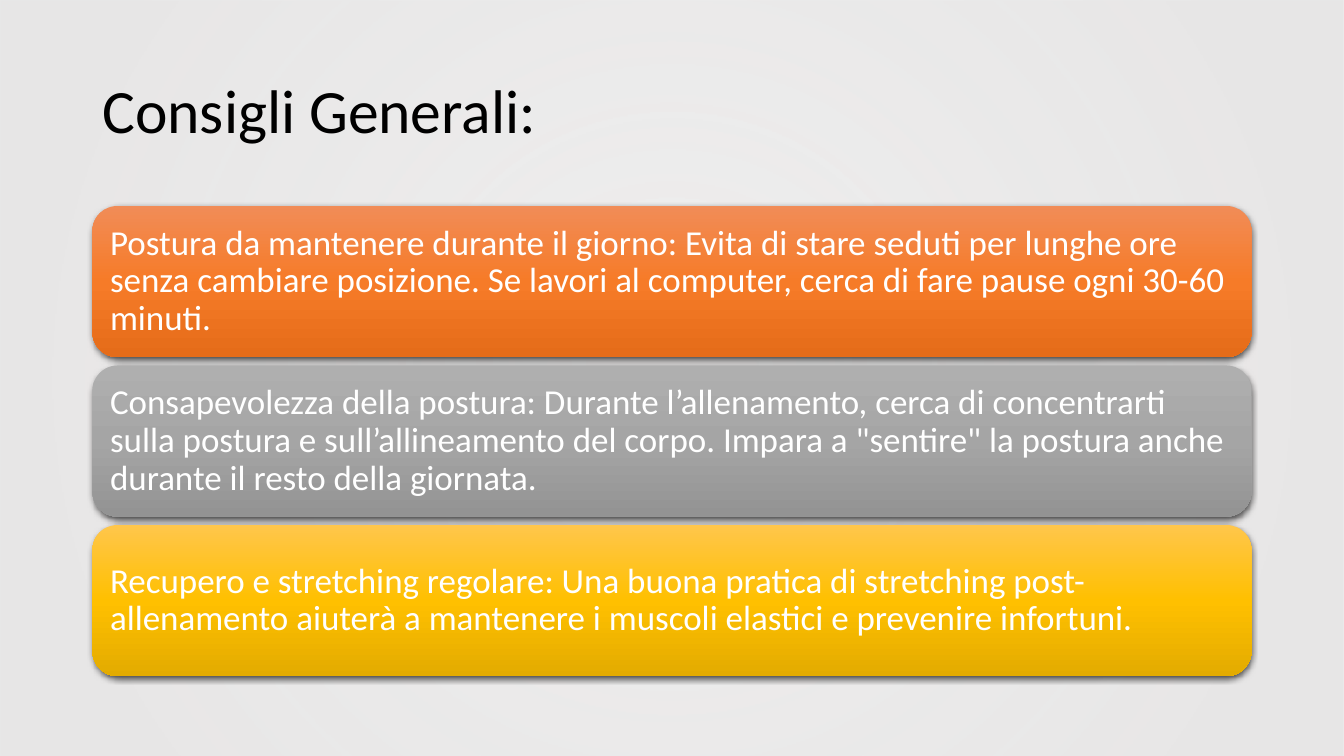
import dataclasses

import lxml.etree
import pptx
import pptx.dml.color
import pptx.enum.shapes
import pptx.enum.text
import pptx.oxml
import pptx.oxml.ns
import pptx.shapes.autoshape
import pptx.slide
import pptx.util

Cm = pptx.util.Cm
NAMESPACE = pptx.oxml.ns.nsdecls("a")


@dataclasses.dataclass(frozen=True)
class Theme:
    font: str = "Calibri"
    title_size: float = 44
    card_size: float = 25
    title_color: str = "000000"
    card_text_color: str = "FFFFFF"
    shadow_color: str = "000000"
    backdrop: str = "E7E6E6"
    orange: tuple[str, ...] = ("F18C57", "F67B28", "E56C19")
    gray: tuple[str, ...] = ("AFAFAF", "A5A5A5", "939393")
    gold: tuple[str, ...] = ("FFC64B", "FFC000", "E3AB00")


@dataclasses.dataclass(frozen=True)
class Stop:
    position: int
    color: str
    opacity: int = 100


@dataclasses.dataclass(frozen=True)
class Card:
    text: str
    colors: tuple[str, ...]


THEME = Theme()
SLIDE_WIDTH, SLIDE_HEIGHT = Cm(33.87), Cm(19.05)
LEFT, WIDTH = Cm(2.33), Cm(29.21)
TITLE_TOP, TITLE_HEIGHT = Cm(1.01), Cm(3.68)
CARD_TOP, CARD_HEIGHT, CARD_PITCH = Cm(5.19), Cm(3.81), Cm(4.02)

LINEAR_DOWN = '<a:lin ang="5400000" scaled="0"/>'
FROM_CENTER = (
    '<a:path path="circle"><a:fillToRect l="50000" t="50000" r="50000" b="50000"/></a:path>'
)

CARDS = (
    Card(
        "Postura da mantenere durante il giorno: Evita di stare seduti per lunghe ore "
        "senza cambiare posizione. Se lavori al computer, cerca di fare pause ogni 30-60 minuti.",
        THEME.orange,
    ),
    Card(
        "Consapevolezza della postura: Durante l’allenamento, cerca di concentrarti sulla "
        "postura e sull’allineamento del corpo. Impara a \"sentire\" la postura anche "
        "durante il resto della giornata.",
        THEME.gray,
    ),
    Card(
        "Recupero e stretching regolare: Una buona pratica di stretching post-allenamento "
        "aiuterà a mantenere i muscoli elastici e prevenire infortuni.",
        THEME.gold,
    ),
)


def fill_gradient(
    shape: pptx.shapes.autoshape.Shape, stops: list[Stop], direction: str
) -> None:
    stop_xml = "".join(
        f'<a:gs pos="{stop.position * 1000}"><a:srgbClr val="{stop.color}">'
        f'<a:alpha val="{stop.opacity * 1000}"/></a:srgbClr></a:gs>'
        for stop in stops
    )
    gradient = pptx.oxml.parse_xml(
        f'<a:gradFill {NAMESPACE} rotWithShape="1"><a:gsLst>{stop_xml}</a:gsLst>'
        f"{direction}</a:gradFill>"
    )
    shape.fill.background()
    properties = shape.element.spPr
    properties.replace(properties.find(pptx.oxml.ns.qn("a:noFill")), gradient)


def add_shadow(shape: pptx.shapes.autoshape.Shape) -> None:
    effects = shape.element.spPr.find(pptx.oxml.ns.qn("a:effectLst"))
    effects.append(
        pptx.oxml.parse_xml(
            f'<a:outerShdw {NAMESPACE} blurRad="{pptx.util.Pt(4.5)}" '
            f'dist="{pptx.util.Pt(1.5)}" dir="5400000" algn="ctr" rotWithShape="0">'
            f'<a:srgbClr val="{THEME.shadow_color}"><a:alpha val="63000"/></a:srgbClr>'
            "</a:outerShdw>"
        )
    )


def write_text(
    box: pptx.shapes.autoshape.Shape, text: str, size: float, color: str, margins: dict
) -> None:
    frame_format = {
        "word_wrap": True,
        "auto_size": pptx.enum.text.MSO_AUTO_SIZE.NONE,
        "vertical_anchor": pptx.enum.text.MSO_ANCHOR.MIDDLE,
        **margins,
    }
    for name, value in frame_format.items():
        setattr(box.text_frame, name, value)
    para = box.text_frame.paragraphs[0]
    para.alignment = pptx.enum.text.PP_ALIGN.LEFT
    para.line_spacing = 0.9
    span = para.add_run()
    span.text = text
    for name, value in {"name": THEME.font, "size": pptx.util.Pt(size)}.items():
        setattr(span.font, name, value)
    span.font.color.rgb = pptx.dml.color.RGBColor.from_string(color)


def add_backdrop(page: pptx.slide.Slide) -> None:
    backdrop = page.shapes.add_shape(
        pptx.enum.shapes.MSO_SHAPE.RECTANGLE, 0, 0, SLIDE_WIDTH, SLIDE_HEIGHT
    )
    backdrop.shadow.inherit = False
    stops = [Stop(10, THEME.backdrop, 68), Stop(85, THEME.backdrop, 97)]
    fill_gradient(backdrop, stops, FROM_CENTER)
    backdrop.line.fill.background()


def add_title(page: pptx.slide.Slide, text: str) -> None:
    box = page.shapes.add_textbox(LEFT, TITLE_TOP, WIDTH, TITLE_HEIGHT)
    write_text(box, text, THEME.title_size, THEME.title_color, {})


def add_card(page: pptx.slide.Slide, card: Card, top: int) -> None:
    box = page.shapes.add_shape(
        pptx.enum.shapes.MSO_SHAPE.ROUNDED_RECTANGLE, LEFT, top, WIDTH, CARD_HEIGHT
    )
    box.shadow.inherit = False
    stops = [Stop(50 * index, color) for index, color in enumerate(card.colors)]
    fill_gradient(box, stops, LINEAR_DOWN)
    box.line.fill.background()
    add_shadow(box)
    sides = ("left", "top", "right", "bottom")
    margins = {f"margin_{side}": Cm(0.26) for side in sides}
    write_text(box, card.text, THEME.card_size, THEME.card_text_color, margins)


def main() -> None:
    deck = pptx.Presentation()
    deck.slide_width, deck.slide_height = SLIDE_WIDTH, SLIDE_HEIGHT
    page = deck.slides.add_slide(deck.slide_layouts[6])
    add_backdrop(page)
    add_title(page, "Consigli Generali:")
    for index, card in enumerate(CARDS):
        add_card(page, card, CARD_TOP + index * CARD_PITCH)
    deck.save("out.pptx")


if __name__ == "__main__":
    main()
